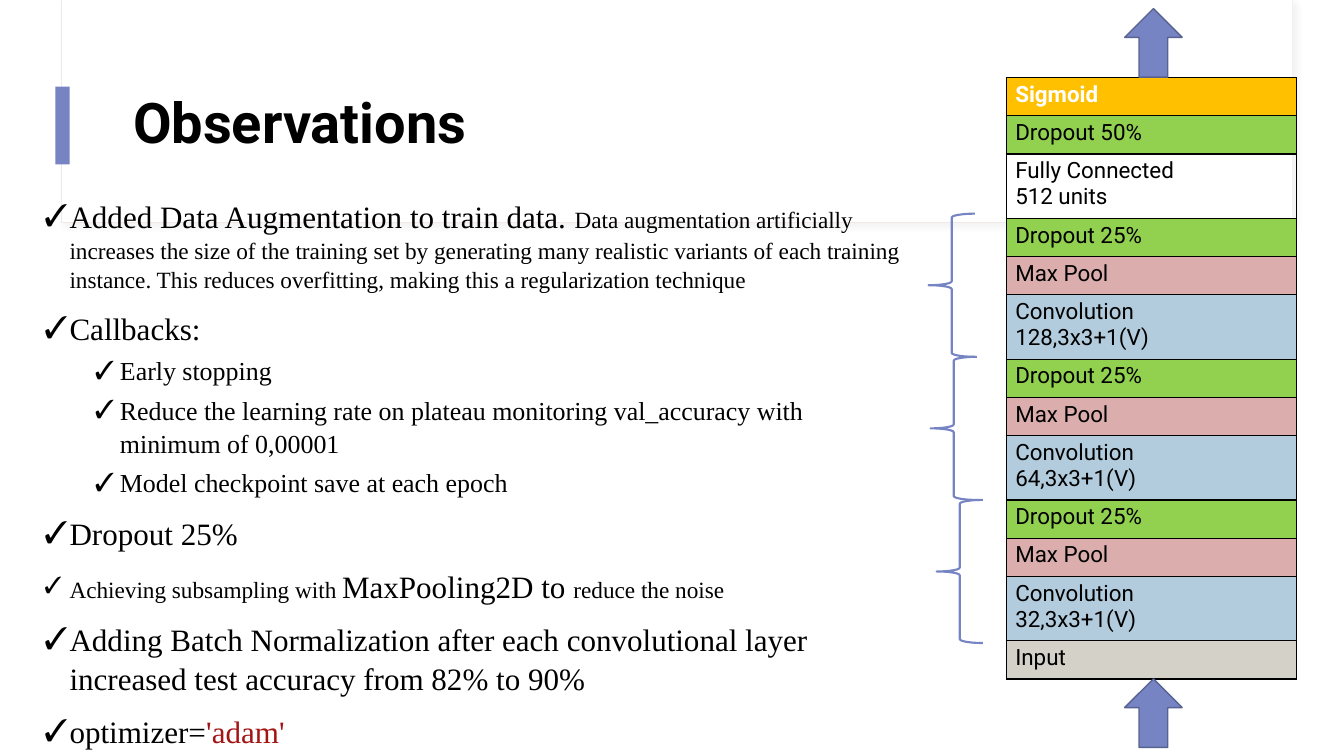
import dataclasses

import lxml.etree
import pptx
import pptx.dml.color
import pptx.enum.shapes
import pptx.enum.text
import pptx.oxml.ns
import pptx.util

COLORS = {
    "white": "FFFFFF", "black": "000000", "accent": "7684C3", "accent_edge": "576290",
    "panel_edge": "F0E9E5", "shadow": "D9D9D9", "code": "A31515",
    "sigmoid": "FFC000", "dropout": "92D050", "pool": "DBADAD",
    "convolution": "B2CCDD", "input": "D4D2C8",
}
SERIF, SANS = "Times New Roman", "Roboto"
LARGE, MEDIUM, SMALL = 22.2, 18.5, 16.6
SINGLE_ROW, DOUBLE_ROW = 5.05, 8.53
SHAPES = pptx.enum.shapes.MSO_SHAPE

presentation = pptx.Presentation()
presentation.slide_width = pptx.util.Inches(13.33)
presentation.slide_height = pptx.util.Inches(7.5)


@dataclasses.dataclass
class Box:
    """Position and size in percent of the slide's width and height."""
    left: float
    top: float
    width: float
    height: float


@dataclasses.dataclass
class Figure:
    kind: SHAPES
    box: Box
    fill: str | None = None
    line: str | None = None
    line_width: float = 1
    rotation: float = 0


@dataclasses.dataclass
class Piece:
    text: str
    size: float = LARGE
    color: str = "black"


@dataclasses.dataclass
class Bullet:
    pieces: list[Piece]
    level: int = 0


@dataclasses.dataclass
class Layer:
    text: str
    fill: str | None = None


def across(share: float) -> int:
    return round(presentation.slide_width * share / 100)


def down(share: float) -> int:
    return round(presentation.slide_height * share / 100)


def frame(box: Box) -> tuple[int, int, int, int]:
    return across(box.left), down(box.top), across(box.width), down(box.height)


def rgb(name: str) -> pptx.dml.color.RGBColor:
    return pptx.dml.color.RGBColor.from_string(COLORS[name])


def add_element(parent, tag: str, **attributes: str):
    element = lxml.etree.SubElement(parent, pptx.oxml.ns.qn(tag))
    element.attrib.update(attributes)
    return element


def draw_figure(slide, figure: Figure):
    shape = slide.shapes.add_shape(figure.kind, *frame(figure.box))
    shape.shadow.inherit = False
    shape.rotation = figure.rotation
    if figure.fill:
        shape.fill.solid()
        shape.fill.fore_color.rgb = rgb(figure.fill)
    else:
        shape.fill.background()
    if figure.line:
        shape.line.color.rgb = rgb(figure.line)
        shape.line.width = pptx.util.Pt(figure.line_width)
    else:
        shape.line.fill.background()
    return shape


def add_panel_shadow(shape) -> None:
    effects = shape.element.spPr.find(pptx.oxml.ns.qn("a:effectLst"))
    shadow = add_element(effects, "a:outerShdw", blurRad=str(pptx.util.Pt(4)),
                         dist=str(pptx.util.Pt(3)), dir="2700000", algn="tl", rotWithShape="0")
    color = add_element(shadow, "a:srgbClr", val=COLORS["shadow"])
    add_element(color, "a:alpha", val="30000")


def place_placeholder(shape, box: Box, anchor) -> None:
    shape.left, shape.top, shape.width, shape.height = frame(box)
    shape.text_frame.auto_size = pptx.enum.text.MSO_AUTO_SIZE.NONE
    shape.text_frame.word_wrap = True
    shape.text_frame.vertical_anchor = anchor


def format_font(font, name: str, size: float, color: str, bold: bool = False) -> None:
    font.name = name
    font.size = pptx.util.Pt(size)
    font.bold = bold
    font.color.rgb = rgb(color)


def write_bullets(text_frame, bullets: list[Bullet]) -> None:
    for index, bullet in enumerate(bullets):
        paragraph = text_frame.paragraphs[0] if index == 0 else text_frame.add_paragraph()
        paragraph.level = bullet.level
        paragraph.line_spacing = 1.05
        paragraph.space_before = pptx.util.Pt(0 if index == 0 else 5 if bullet.level else 10)
        properties = paragraph._p.get_or_add_pPr()
        properties.set("marL", str(pptx.util.Inches(0.25 + 0.5 * bullet.level)))
        properties.set("indent", str(pptx.util.Inches(-0.25)))
        add_element(properties, "a:buFont", typeface=SERIF)
        add_element(properties, "a:buChar", char="✓")
        first = bullet.pieces[0]
        format_font(paragraph.font, SERIF, first.size, first.color)
        for piece in bullet.pieces:
            run = paragraph.add_run()
            run.text = piece.text
            if any(other.size != first.size for other in bullet.pieces):
                run.font.size = pptx.util.Pt(piece.size)
            if piece.color != first.color:
                run.font.color.rgb = rgb(piece.color)


def draw_layers(slide, left: float, top: float, width: float, layers: list[Layer]) -> None:
    heights = [DOUBLE_ROW if "\n" in layer.text else SINGLE_ROW for layer in layers]
    table = slide.shapes.add_table(len(layers), 1, *frame(Box(left, top, width, sum(heights)))).table
    table.first_row = table.horz_banding = False
    for index, (layer, height) in enumerate(zip(layers, heights)):
        table.rows[index].height = down(height)
        cell = table.cell(index, 0)
        cell.text = layer.text
        cell.margin_left = cell.margin_right = pptx.util.Inches(0.09)
        cell.margin_top = cell.margin_bottom = pptx.util.Inches(0.04)
        for side in ("a:lnL", "a:lnR", "a:lnT", "a:lnB"):
            border = add_element(cell._tc.get_or_add_tcPr(), side, w=str(pptx.util.Pt(1)))
            add_element(add_element(border, "a:solidFill"), "a:srgbClr", val=COLORS["black"])
        if layer.fill:
            cell.fill.solid()
            cell.fill.fore_color.rgb = rgb(layer.fill)
        else:
            cell.fill.background()
        is_output = index == 0
        for paragraph in cell.text_frame.paragraphs:
            format_font(paragraph.font, SANS, 16, "white" if is_output else "black", is_output)


def main() -> None:
    slide = presentation.slides.add_slide(presentation.slide_layouts[1])
    title, body = slide.placeholders

    # Header panel and accent bar, behind the text
    header = [
        Figure(SHAPES.RECTANGLE, Box(4.58, 0, 91.6, 29.47), "white", "panel_edge", 0.75),
        Figure(SHAPES.RECTANGLE, Box(4.65, 0, 91.52, 29.33), "white"),
        Figure(SHAPES.RECTANGLE, Box(4.13, 11.47, 1.05, 10.27), "accent"),
    ]
    header_shapes = [draw_figure(slide, figure) for figure in header]
    add_panel_shadow(header_shapes[0])
    for shape in header_shapes:
        title.element.addprevious(shape.element)

    # Title
    place_placeholder(title, Box(9.15, 8, 83.42, 17.2), pptx.enum.text.MSO_ANCHOR.MIDDLE)
    title.text_frame.text = "Observations"
    heading = title.text_frame.paragraphs[0]
    heading.alignment = pptx.enum.text.PP_ALIGN.LEFT
    heading.line_spacing = 0.9
    format_font(heading.font, SANS, 40, "black", True)

    # Observations
    place_placeholder(body, Box(2.55, 25.2, 65.42, 73.73), pptx.enum.text.MSO_ANCHOR.TOP)
    write_bullets(body.text_frame, [
        Bullet([Piece("Added Data Augmentation to train data. "),
                Piece("Data augmentation artificially increases the size of the training set by "
                      "generating many realistic variants of each training instance. This reduces "
                      "overfitting, making this a regularization technique", SMALL)]),
        Bullet([Piece("Callbacks:")]),
        Bullet([Piece("Early stopping", MEDIUM)], 1),
        Bullet([Piece("Reduce the learning rate on plateau monitoring val_accuracy with "
                      "minimum of 0,00001", MEDIUM)], 1),
        Bullet([Piece("Model checkpoint save at each epoch", MEDIUM)], 1),
        Bullet([Piece("Dropout 25%")]),
        Bullet([Piece("Achieving subsampling with ", SMALL), Piece("MaxPooling2D to "),
                Piece("reduce the noise", SMALL)]),
        Bullet([Piece("Adding Batch Normalization after each convolutional layer increased "
                      "test accuracy from 82% to 90%")]),
        Bullet([Piece("optimizer="), Piece("'adam'", color="code")]),
    ])

    # Network layers, output at the top
    layers = [Layer("Sigmoid", "sigmoid"), Layer("Dropout 50%", "dropout"),
              Layer("Fully Connected\n512 units")]
    for filters in (128, 64, 32):
        layers += [Layer("Dropout 25%", "dropout"), Layer("Max Pool", "pool"),
                   Layer(f"Convolution\n{filters},3x3+1(V)", "convolution")]
    layers.append(Layer("Input", "input"))
    draw_layers(slide, 74.87, 10.27, 21.6, layers)

    # Arrows into and out of the network
    for top in (90.53, 1.87):
        draw_figure(slide, Figure(SHAPES.RIGHT_ARROW, Box(83.27, top, 5.1, 7.6),
                                  "accent", "accent_edge", rotation=270))

    # One brace per convolution block
    brace_height = 18.93
    for index, left in enumerate((69.09, 69.24, 69.69)):
        box = Box(left, 28.27 + index * brace_height, 3.45, brace_height)
        draw_figure(slide, Figure(SHAPES.LEFT_BRACE, box, line="accent", line_width=1.5))

    presentation.save("out.pptx")


if __name__ == "__main__":
    main()
